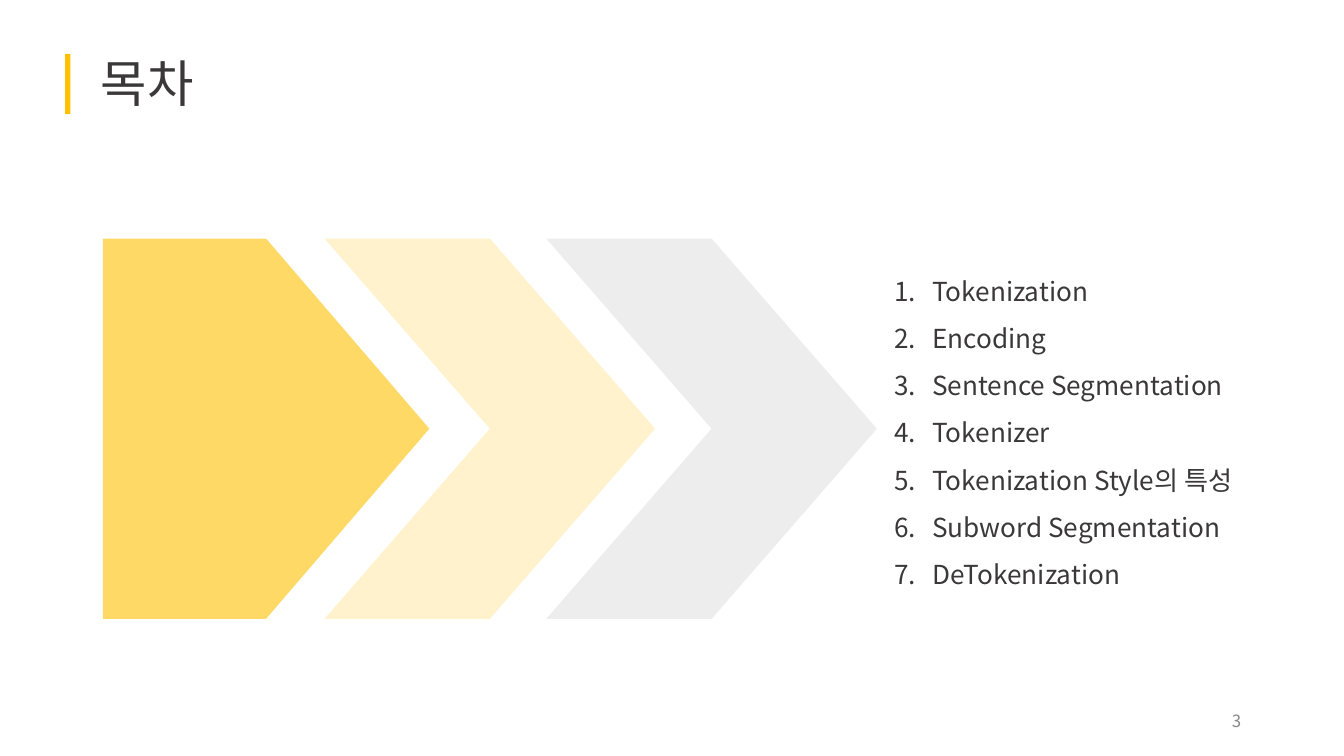
from lxml.etree import SubElement
from pptx import Presentation
from pptx.dml.color import RGBColor
from pptx.enum.shapes import MSO_SHAPE
from pptx.enum.text import MSO_ANCHOR, MSO_AUTO_SIZE, PP_ALIGN
from pptx.oxml.ns import qn
from pptx.util import Pt

PX = 4572  # EMU per px, 200 px to the inch
FONT = "Noto Sans CJK KR"
COLORS = {
    "accent": "FFC000",
    "gold": "FFD966",
    "cream": "FFF2CC",
    "gray": "EDEDED",
    "text": "3A3838",
    "number": "888888",
}
TOPICS = [
    "Tokenization",
    "Encoding",
    "Sentence Segmentation",
    "Tokenizer",
    "Tokenization Style의 특성",
    "Subword Segmentation",
    "DeTokenization",
]


def set_values(target, values):
    for name, value in values.items():
        setattr(target, name, value)


def place(shape, left, top, width, height):
    box = {"left": left, "top": top, "width": width, "height": height}
    set_values(shape, {name: length * PX for name, length in box.items()})


def add_block(slide, kind, box, color):
    shape = slide.shapes.add_shape(kind, *(length * PX for length in box))
    shape.shadow.inherit = False
    shape.fill.solid()
    shape.fill.fore_color.rgb = RGBColor.from_string(COLORS[color])
    shape.line.fill.background()
    return shape


def write_text(shape, lines, size, color, anchor=MSO_ANCHOR.TOP,
               align=PP_ALIGN.LEFT, spacing=1.0):
    frame = shape.text_frame
    set_values(frame, {
        "word_wrap": True, "auto_size": MSO_AUTO_SIZE.NONE,
        "vertical_anchor": anchor, "margin_left": 15 * PX,
        "margin_right": 15 * PX, "margin_top": 7 * PX, "margin_bottom": 7 * PX,
    })
    frame.text = "\n".join(lines)
    for paragraph in frame.paragraphs:
        set_values(paragraph, {"alignment": align, "line_spacing": spacing,
                               "space_before": Pt(0), "space_after": Pt(0)})
        font = paragraph.runs[0].font
        set_values(font, {"name": FONT, "size": Pt(size), "bold": False})
        font.color.rgb = RGBColor.from_string(COLORS[color])
        # East Asian typeface for the Korean letters
        properties = paragraph.runs[0]._r.get_or_add_rPr()
        SubElement(properties, qn("a:ea")).set("typeface", FONT)


def number_paragraph(paragraph, indent, color):
    properties = paragraph._p.get_or_add_pPr()
    properties.set("marL", str(indent * PX))
    properties.set("indent", str(-indent * PX))
    bullet_color = SubElement(properties, qn("a:buClr"))
    SubElement(bullet_color, qn("a:srgbClr")).set("val", COLORS[color])
    SubElement(properties, qn("a:buFont")).set("typeface", FONT)
    SubElement(properties, qn("a:buAutoNum")).set("type", "arabicPeriod")


def add_heading(slide, left, top):
    add_block(slide, MSO_SHAPE.RECTANGLE, (left, top + 9, 8, 90), "accent")
    title = slide.shapes.title
    place(title, left + 38, top, 218, 106)
    write_text(title, ["목차"], 27, "text")


def add_arrows(slide, left, top, height):
    step = 330
    arrows = [
        (MSO_SHAPE.PENTAGON, 486, "gold"),
        (MSO_SHAPE.CHEVRON, 492, "cream"),
        (MSO_SHAPE.CHEVRON, 492, "gray"),
    ]
    for index, (kind, width, color) in enumerate(arrows):
        box = (left + index * step, top, width, height)
        add_block(slide, kind, box, color).adjustments[0] = 0.5


def add_topics(slide, *box):
    body = slide.placeholders[1]
    place(body, *box)
    write_text(body, TOPICS, 14, "text", spacing=1.5)
    for paragraph in body.text_frame.paragraphs:
        number_paragraph(paragraph, 56, "text")


def add_page_number(slide, *box):
    number = slide.shapes.add_textbox(*(length * PX for length in box))
    write_text(number, ["3"], 9, "number", MSO_ANCHOR.MIDDLE, PP_ALIGN.RIGHT)


def main():
    presentation = Presentation()
    set_values(presentation, {"slide_width": 2000 * PX, "slide_height": 1125 * PX})
    slide = presentation.slides.add_slide(presentation.slide_layouts[1])
    add_heading(slide, 97, 71)
    add_arrows(slide, 153, 355, 566)
    add_topics(slide, 1316, 380, 630, 488)
    add_page_number(slide, 1412, 1043, 450, 60)
    presentation.save("out.pptx")


if __name__ == "__main__":
    main()
